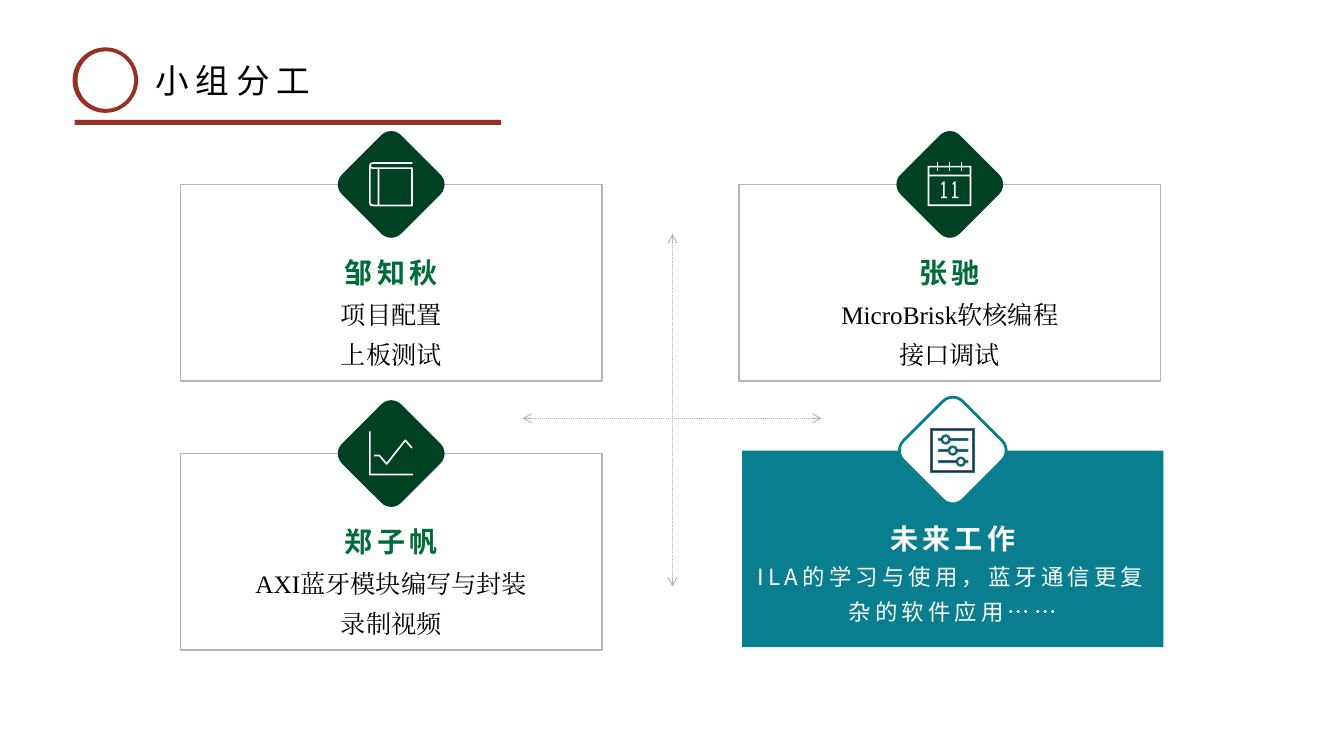
from math import cos, radians, sin

from lxml.etree import SubElement
from pptx import Presentation
from pptx.dml.color import RGBColor
from pptx.enum.dml import MSO_LINE
from pptx.enum.shapes import MSO_CONNECTOR, MSO_SHAPE
from pptx.enum.text import PP_ALIGN
from pptx.oxml.ns import qn
from pptx.util import Inches, Pt

COLORS = {
    "red": "992E24", "black": "000000", "white": "FFFFFF", "gray": "B4B4B4",
    "dark_green": "004123", "green": "006C39", "teal": "087E8E", "crimson": "8E0309",
}
SANS, SERIF = "Noto Sans CJK SC", "Times New Roman"
CARD_WIDTH, CARD_HEIGHT = 4.18, 1.95
DIAMOND = 0.83
ICON = 0.44  # icons are outlined on a grid of hundredths of an inch


def color(name):
    return RGBColor.from_string(COLORS[name])


def paint(shape, fill=None, line=None, line_width=1):
    shape.shadow.inherit = False
    if fill:
        shape.fill.solid()
        shape.fill.fore_color.rgb = color(fill)
    else:
        shape.fill.background()
    if line:
        shape.line.color.rgb = color(line)
        shape.line.width = Pt(line_width)
    else:
        shape.line.fill.background()


def add_preset(slide, kind, left, top, width, height, **style):
    shape = slide.shapes.add_shape(
        kind, Inches(left), Inches(top), Inches(width), Inches(height))
    paint(shape, **style)
    return shape


def format_paragraph(paragraph, text, size, pitch, ink, font=SANS, bold=False, spacing=0):
    paragraph.text = text
    paragraph.line_spacing = Pt(pitch)
    for run in paragraph.runs:
        run.font.size = Pt(size)
        run.font.bold = bold
        run.font.name = font
        run.font.color.rgb = color(ink)
        properties = run.font._element
        properties.set("spc", str(spacing * 100))
        SubElement(properties, qn("a:ea")).set("typeface", font)


# Icon outlines: an icon is a list of parts, a part is a list of closed contours
def rectangle(left, top, right, bottom):
    return [(left, top), (right, top), (right, bottom), (left, bottom)]


def arc(x, y, radius, start, end):
    return [(x + radius * cos(radians(angle)), y + radius * sin(radians(angle)))
            for angle in range(start, end + 1, 12)]


def slider(knob, y):
    track = [(8, y - 0.9), *arc(knob, y, 4.5, 192, 348), (37, y - 0.9),
             (37, y + 0.9), *arc(knob, y, 4.5, 12, 168), (8, y + 0.9)]
    return [track, arc(knob, y, 3, 0, 348)]


def digit_one(x):
    points = [(0.5, 35.5), (6.5, 35.5), (6.5, 34), (4, 34), (4, 19), (3, 19),
              (0.5, 21.5), (1.5, 22.5), (2.5, 21), (2.5, 34), (0.5, 34)]
    return [[(x + dx, y) for dx, y in points]]


BOOK = [[
    [(42.5, 5), (4, 5), (2, 4.3), (1.7, 3.3), (2, 2.3), (4, 1.7), (43, 1.7), (43, 0),
     (4, 0), (1, 1), (0, 4), (0, 40), (1, 43), (4, 43.7), (43.5, 43.7), (43.5, 5.5)],
    [(8.5, 42), (4, 42), (2, 41), (1.7, 40), (1.7, 6), (4, 6.7), (8.5, 6.7)],
    rectangle(10.2, 6.7, 41.8, 42),
]]
CALENDAR = [
    [rectangle(0, 3.5, 43.5, 43.5), rectangle(1.7, 5.2, 41.8, 12.3),
     rectangle(1.7, 14, 41.8, 41.8)],
    *([rectangle(x, 0, x + 1.6, 8.5)] for x in (9, 21, 33)),
    *(digit_one(x) for x in (13, 24)),
]
CHART = [
    [[(0, 0), (1.6, 0), (1.6, 42), (43.5, 42), (43.5, 43.6), (0, 43.6)]],
    [[(5, 24.7), (10, 24.7), (17, 33), (18, 33), (36, 10), (42, 17), (43.3, 16),
      (37, 8.7), (36, 8), (35, 8.7), (17.5, 31), (11, 23.5), (10, 23), (5, 23)]],
]
SLIDERS = [
    [rectangle(0, 0, 44, 44), rectangle(2, 2, 42, 42)],
    *(slider(knob, y) for knob, y in ((15, 11), (22, 22), (30, 33))),
]


def add_icon(slide, left, top, parts, **style):
    shapes = []
    for contours in parts:
        outlines = [[(Inches(left + x / 100), Inches(top + y / 100)) for x, y in contour]
                    for contour in contours]
        builder = slide.shapes.build_freeform(*outlines[0][0])
        builder.add_line_segments(outlines[0][1:], close=True)
        for outline in outlines[1:]:
            builder.move_to(*outline[0])
            builder.add_line_segments(outline[1:], close=True)
        shape = builder.convert_to_shape()
        paint(shape, **style)
        shapes.append(shape)
    slide.shapes.add_group_shape(shapes)


def add_title(slide, left, top, text):
    # Ring and underline
    add_preset(slide, MSO_SHAPE.OVAL, left, top, 0.65, 0.65, fill="red")
    add_preset(slide, MSO_SHAPE.OVAL, left + 0.05, top + 0.04, 0.56, 0.57, fill="white")
    add_preset(slide, MSO_SHAPE.RECTANGLE, left + 0.02, top + 0.72, 4.23, 0.05, fill="red")
    # Heading
    box = slide.shapes.add_textbox(
        Inches(left + 0.72), Inches(top + 0.04), Inches(1.83), Inches(0.5))
    box.text_frame.word_wrap = False
    format_paragraph(box.text_frame.paragraphs[0], text, 24, 31.5, "black", spacing=5)


def add_card(slide, left, top, icon, heading, lines, future=False):
    # Panel with a diamond on the middle of its top edge
    panel = {"fill": "teal"} if future else {"line": "gray", "line_width": 1.25}
    badge = ({"fill": "white", "line": "teal", "line_width": 2} if future
             else {"fill": "dark_green"})
    ink = ({"fill": "crimson", "line": "teal", "line_width": 0.75} if future
           else {"fill": "white"})
    add_preset(slide, MSO_SHAPE.RECTANGLE, left, top, CARD_WIDTH, CARD_HEIGHT, **panel)
    center = left + CARD_WIDTH / 2
    diamond = add_preset(slide, MSO_SHAPE.ROUNDED_RECTANGLE, center - DIAMOND / 2,
                         top - DIAMOND / 2, DIAMOND, DIAMOND, **badge)
    diamond.rotation = 45
    add_icon(slide, center - ICON / 2, top - ICON / 2, icon, **ink)

    # Name and tasks
    box = slide.shapes.add_textbox(Inches(left + 0.13), Inches(top + 0.58),
                                   Inches(CARD_WIDTH - 0.26), Inches(1.18))
    frame = box.text_frame
    frame.word_wrap = True
    frame.margin_left = frame.margin_right = frame.margin_top = frame.margin_bottom = 0
    format_paragraph(frame.paragraphs[0], heading, 20, 33,
                     "white" if future else "green", bold=True, spacing=3)
    for line in lines:
        if future:
            format_paragraph(frame.add_paragraph(), line, 16, 25, "white", spacing=3)
        else:
            format_paragraph(frame.add_paragraph(), line, 18, 28.6, "black", SERIF)
    for paragraph in frame.paragraphs:
        paragraph.alignment = PP_ALIGN.CENTER


def add_axis(slide, x1, y1, x2, y2):
    axis = slide.shapes.add_connector(
        MSO_CONNECTOR.STRAIGHT, Inches(x1), Inches(y1), Inches(x2), Inches(y2))
    axis.line.color.rgb = color("gray")
    axis.line.width = Pt(0.75)
    axis.line.dash_style = MSO_LINE.ROUND_DOT
    outline = axis.line._get_or_add_ln()
    for end in ("a:headEnd", "a:tailEnd"):
        SubElement(outline, qn(end)).set("type", "arrow")
    SubElement(axis._element.spPr, qn("a:effectLst"))


def main():
    presentation = Presentation()
    presentation.slide_width, presentation.slide_height = Inches(13.33), Inches(7.5)
    slide = presentation.slides.add_slide(presentation.slide_layouts[6])

    add_title(slide, 0.72, 0.47, "小组分工")
    # Crossing arrows between the cards
    add_axis(slide, 6.67, 2.32, 6.67, 5.82)
    add_axis(slide, 5.18, 4.15, 8.15, 4.15)
    # Cards
    add_card(slide, 1.79, 1.83, BOOK, "邹知秋", ["项目配置", "上板测试"])
    add_card(slide, 7.33, 1.83, CALENDAR, "张驰", ["MicroBrisk软核编程", "接口调试"])
    add_card(slide, 1.79, 4.5, CHART, "郑子帆", ["AXI蓝牙模块编写与封装", "录制视频"])
    add_card(slide, 7.36, 4.47, SLIDERS, "未来工作",
             ["ILA的学习与使用，蓝牙通信更复杂的软件应用……"], future=True)
    presentation.save("out.pptx")


if __name__ == "__main__":
    main()
